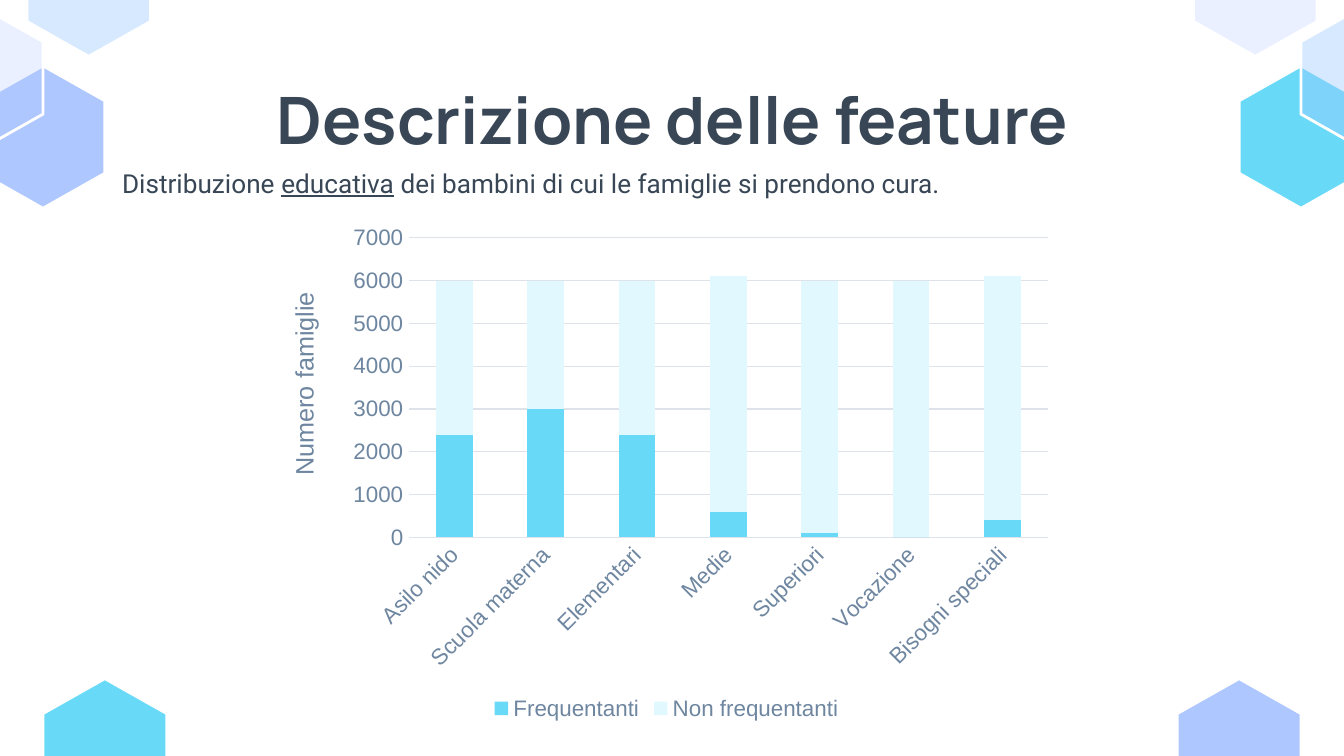
import lxml.etree
import pptx
import pptx.chart.data
import pptx.dml.color
import pptx.enum.chart
import pptx.enum.text
import pptx.oxml
import pptx.oxml.ns
import pptx.util

Inches = pptx.util.Inches
Pt = pptx.util.Pt
RGBColor = pptx.dml.color.RGBColor
qn = pptx.oxml.ns.qn

WHITE = RGBColor(0xFF, 0xFF, 0xFF)
CYAN = RGBColor(0x68, 0xDA, 0xF8)
PALE_CYAN = RGBColor(0xE1, 0xF8, 0xFE)
PERIWINKLE = RGBColor(0xAF, 0xC7, 0xFF)
SKY = RGBColor(0x9F, 0xCB, 0xFD)
DARK = RGBColor(0x38, 0x46, 0x55)
SLATE = RGBColor(0x6E, 0x86, 0xA0)
GRID = RGBColor(0xDE, 0xE3, 0xE9)


def add_runs(paragraph, runs, size, font, color, bold=False):
    """Add (text, underlined) pairs to a paragraph in one format."""
    for text, underlined in runs:
        run = paragraph.add_run()
        run.text = text
        run.font.size = Pt(size)
        run.font.name = font
        run.font.color.rgb = color
        run.font.bold = bold
        run.font.underline = underlined


def style_font(font, size, color):
    font.name = "Arial"
    font.size = Pt(size)
    font.color.rgb = color
    font.bold = False


presentation = pptx.Presentation()
presentation.slide_width = Inches(10)
presentation.slide_height = Inches(10) * 9 // 16
slide = presentation.slides.add_slide(presentation.slide_layouts[6])

# Corner hexagons: centre x, top, colour, opacity in percent
hexagons = [
    (0.78, 5.05, CYAN, 100),
    (9.22, 5.05, PERIWINKLE, 100),
    (0.32, 0.49, PERIWINKLE, 100),
    (-0.14, 0.05, PERIWINKLE, 25),
    (0.66, -0.64, SKY, 41),
    (9.68, 0.49, CYAN, 100),
    (10.14, 0.05, SKY, 41),
    (9.34, -0.64, PERIWINKLE, 25),
]
HALF_WIDTH = 0.46
corners = [(-HALF_WIDTH, 0.26), (-HALF_WIDTH, 0.8), (0, 1.06),
           (HALF_WIDTH, 0.8), (HALF_WIDTH, 0.26)]
for center, top, color, opacity in hexagons:
    builder = slide.shapes.build_freeform(Inches(center), Inches(top))
    builder.add_line_segments(
        [(Inches(center + dx), Inches(top + dy)) for dx, dy in corners])
    hexagon = builder.convert_to_shape()
    hexagon.shadow.inherit = False
    hexagon.fill.solid()
    hexagon.fill.fore_color.rgb = color
    hexagon.line.color.rgb = WHITE
    hexagon.line.width = Pt(1.5)
    if opacity < 100:
        fill_color = hexagon.fill._xPr.find(qn("a:solidFill"))[0]
        alpha = lxml.etree.SubElement(fill_color, qn("a:alpha"))
        alpha.set("val", str(opacity * 1000))

# Heading and subtitle
heading = slide.shapes.add_textbox(
    Inches(0.79), Inches(0.49), Inches(8.43), Inches(0.63)).text_frame
subtitle = slide.shapes.add_textbox(
    Inches(0.66), Inches(1.11), Inches(8.69), Inches(0.72)).text_frame
for frame in (heading, subtitle):
    frame.word_wrap = True
    frame.margin_left = frame.margin_right = Inches(0.1)
    frame.margin_top = frame.margin_bottom = Inches(0.1)

heading.paragraphs[0].alignment = pptx.enum.text.PP_ALIGN.CENTER
add_runs(heading.paragraphs[0], [("Descrizione delle feature", False)],
         size=35, font="Manrope", color=DARK, bold=True)

subtitle.paragraphs[0].line_spacing = 1.15
subtitle.paragraphs[0]._p.get_or_add_pPr().set("marL", str(Inches(0.15)))
add_runs(subtitle.paragraphs[0],
         [("Distribuzione ", False), ("educativa", True),
          (" dei bambini di cui le famiglie si prendono cura.", False)],
         size=14, font="Roboto", color=DARK)

# Attendance chart
CHART_LEFT, CHART_TOP, CHART_WIDTH, CHART_HEIGHT = 2.01, 1.61, 5.9, 3.79
attendance = pptx.chart.data.CategoryChartData()
attendance.categories = ["Asilo nido", "Scuola materna", "Elementari", "Medie",
                         "Superiori", "Vocazione", "Bisogni speciali"]
attendance.add_series("Frequentanti", [2400, 3000, 2400, 600, 100, 0, 400])
attendance.add_series("Non frequentanti",
                      [3600, 3000, 3600, 5500, 5900, 6000, 5700])
chart = slide.shapes.add_chart(
    pptx.enum.chart.XL_CHART_TYPE.COLUMN_STACKED,
    Inches(CHART_LEFT), Inches(CHART_TOP),
    Inches(CHART_WIDTH), Inches(CHART_HEIGHT), attendance).chart
style_font(chart.font, 10, DARK)
chart.has_title = False
chart.has_legend = True
chart.legend.position = pptx.enum.chart.XL_LEGEND_POSITION.BOTTOM
chart.legend.include_in_layout = False
style_font(chart.legend.font, 12, SLATE)

bars = chart.plots[0]
bars.gap_width = 150
bars.overlap = 100
bars.vary_by_categories = False
for series, color in zip(bars.series, (CYAN, PALE_CYAN)):
    series.format.fill.solid()
    series.format.fill.fore_color.rgb = color

schools = chart.category_axis
families = chart.value_axis
for axis in (schools, families):
    axis.major_tick_mark = pptx.enum.chart.XL_TICK_MARK.NONE
    axis.minor_tick_mark = pptx.enum.chart.XL_TICK_MARK.NONE
    style_font(axis.tick_labels.font, 12, SLATE)
schools._element.find(qn("c:txPr")).find(qn("a:bodyPr")).set("rot", "-2700000")
families.minimum_scale = 0
families.maximum_scale = 7000
families.major_unit = 1000
families.format.line.fill.background()
families.has_major_gridlines = True
for line in (schools.format.line, families.major_gridlines.format.line):
    line.color.rgb = GRID
    line.width = Pt(0.75)
add_runs(families.axis_title.text_frame.paragraphs[0],
         [("Numero famiglie", False)], size=13.5, font="Arial", color=SLATE)

# Fixed places for the plot area and the axis title, in inches on the slide
plot_area = chart._chartSpace.chart.plotArea
axis_title = families.axis_title._element
for part, index, target, left, top, size in [
        (plot_area, 0, "inner", 3.04, 1.77, (4.76, 2.23)),
        (axis_title, 1, None, 2.11, 2.14, None)]:
    for old_layout in part.findall(qn("c:layout")):
        part.remove(old_layout)
    layout = lxml.etree.Element(qn("c:layout"))
    manual = lxml.etree.SubElement(layout, qn("c:manualLayout"))
    settings = [("xMode", "edge"), ("yMode", "edge"),
                ("x", (left - CHART_LEFT) / CHART_WIDTH),
                ("y", (top - CHART_TOP) / CHART_HEIGHT)]
    if target:
        settings.insert(0, ("layoutTarget", target))
    if size:
        settings += [("w", size[0] / CHART_WIDTH), ("h", size[1] / CHART_HEIGHT)]
    for tag, value in settings:
        lxml.etree.SubElement(manual, qn("c:" + tag)).set("val", str(value))
    part.insert(index, layout)

presentation.save("out.pptx")
